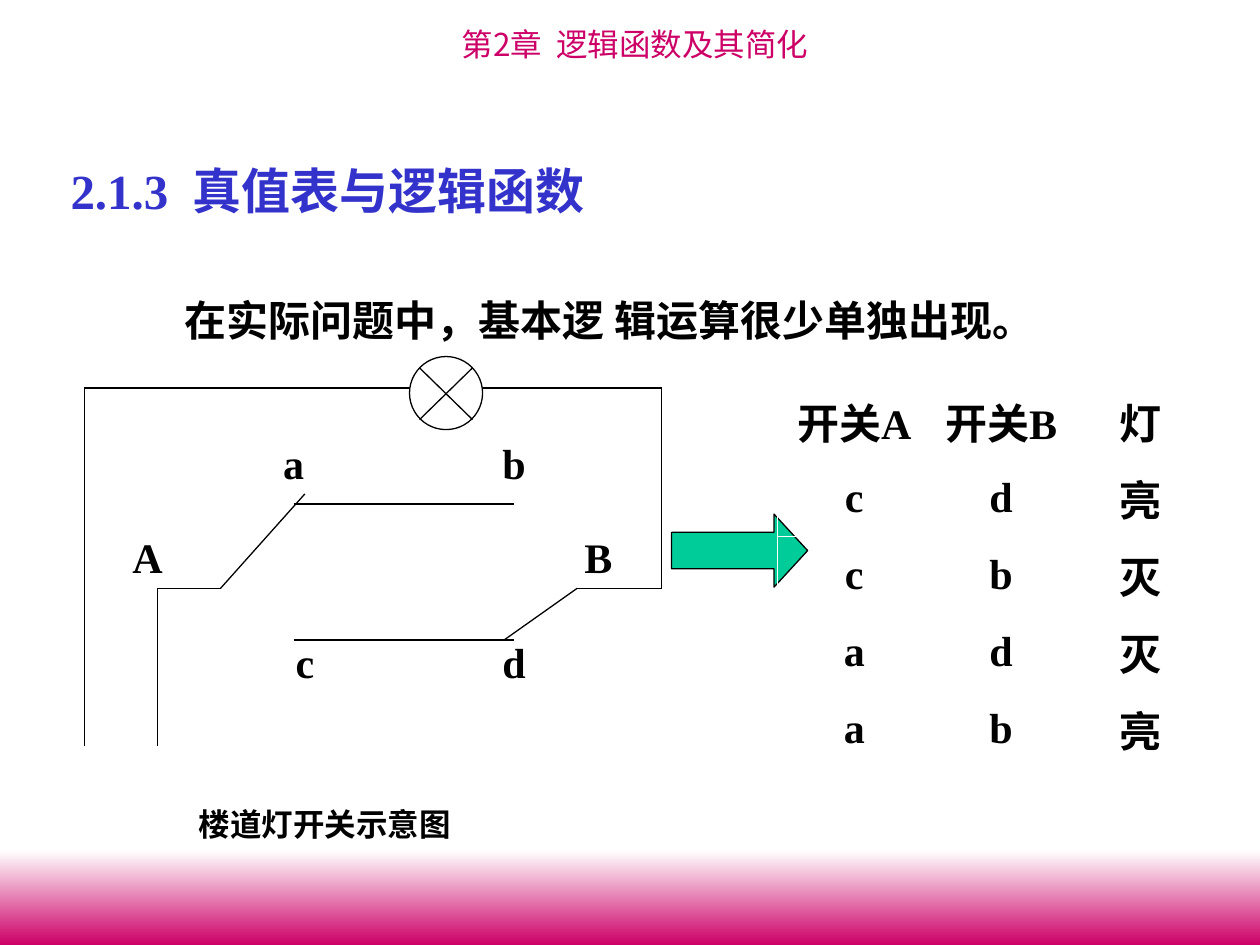
from dataclasses import dataclass

from lxml.etree import SubElement
from pptx import Presentation
from pptx.dml.color import RGBColor
from pptx.enum.shapes import MSO_CONNECTOR, MSO_SHAPE
from pptx.enum.text import MSO_ANCHOR, MSO_AUTO_SIZE, PP_ALIGN
from pptx.oxml.ns import qn
from pptx.util import Inches, Pt


@dataclass(frozen=True)
class Theme:
    """Colours, fonts and type sizes of the slide."""
    ink: RGBColor = RGBColor(0, 0, 0)
    paper: RGBColor = RGBColor(0xFF, 0xFF, 0xFF)
    heading: RGBColor = RGBColor(0x33, 0x33, 0xCC)
    chapter: RGBColor = RGBColor(0xCC, 0x00, 0x66)
    arrow: RGBColor = RGBColor(0x00, 0xCC, 0x99)
    latin: str = "Times New Roman"
    chinese: str = "Noto Sans CJK SC"
    heading_size: int = 28
    body_size: int = 24
    small_size: int = 18
    line_width: float = 0.75


THEME = Theme()

CIRCUIT_LINES = [
    (0.67, 5.92, 0.67, 3.08), (0.67, 3.08, 3.25, 3.08),
    (3.83, 3.08, 5.25, 3.08), (5.25, 3.08, 5.25, 4.67),
    (1.25, 5.92, 1.25, 4.67), (1.25, 4.67, 1.75, 4.67),
    (5.25, 4.67, 4.58, 4.67), (2.33, 4, 4.08, 4),
    (2.33, 5.08, 4.08, 5.08), (1.75, 4.67, 2.42, 3.92),
    (4.58, 4.67, 4, 5.08),
]
LAMP_CROSS = [(3.33, 3.33, 3.75, 2.92), (3.33, 2.92, 3.75, 3.33)]
CONTACT_LABELS = [
    ("A", 0.92, 4.17), ("B", 4.5, 4.17), ("a", 2.08, 3.42),
    ("d", 3.83, 5), ("b", 3.83, 3.42), ("c", 2.17, 5),
]
TRUTH_ROWS = [
    ("开关A", "开关B", "灯"),
    ("c", "d", "亮"),
    ("c", "b", "灭"),
    ("a", "d", "灭"),
    ("a", "b", "亮"),
]


def style_paragraph(paragraph, size, color=THEME.ink, bold=True,
                    align=PP_ALIGN.LEFT, latin=THEME.latin):
    """Format a paragraph and its runs, with a separate Chinese font."""
    paragraph.alignment = align
    for run in paragraph.runs:
        run.font.size = Pt(size)
        run.font.bold = bold
        run.font.color.rgb = color
        run.font.name = latin
        SubElement(run.font._element, qn("a:ea"), typeface=THEME.chinese)


def add_text(slide, text, left, top, width, height, size,
             indent=0, line_spacing=None, **style):
    """Add a wrapping text box holding one paragraph."""
    box = slide.shapes.add_textbox(
        Inches(left), Inches(top), Inches(width), Inches(height))
    box.text_frame.word_wrap = True
    box.text_frame.text = text
    paragraph = box.text_frame.paragraphs[0]
    style_paragraph(paragraph, size, **style)
    if line_spacing:
        paragraph.line_spacing = line_spacing
    if indent:
        paragraph._p.get_or_add_pPr().set("indent", str(Inches(indent)))


def add_outlined(slide, preset, left, top, width, height, fill):
    """Add a filled preset shape with a thin outline."""
    shape = slide.shapes.add_shape(
        preset, Inches(left), Inches(top), Inches(width), Inches(height))
    shape.shadow.inherit = False
    shape.fill.solid()
    shape.fill.fore_color.rgb = fill
    shape.line.color.rgb = THEME.ink
    shape.line.width = Pt(THEME.line_width)
    return shape


def add_lines(slide, segments):
    """Draw straight wires from (x1, y1, x2, y2) segments."""
    for segment in segments:
        wire = slide.shapes.add_connector(
            MSO_CONNECTOR.STRAIGHT, *(Inches(value) for value in segment))
        wire.line.color.rgb = THEME.ink
        wire.line.width = Pt(THEME.line_width)
        SubElement(wire._element.spPr, qn("a:effectLst"))


def add_footer_band(slide):
    """Add the band that fades from white at the bottom of the slide."""
    band = slide.shapes.add_shape(
        MSO_SHAPE.RECTANGLE, 0, Inches(6.75), Inches(10), Inches(0.75))
    band.shadow.inherit = False
    band.line.fill.background()
    band.fill.gradient()
    band.fill.gradient_angle = 270
    for stop, position, color in zip(
            band.fill.gradient_stops, (0, 1), (THEME.paper, THEME.chapter)):
        stop.position = position
        stop.color.rgb = color


def set_title(slide, text):
    """Place and format the section heading."""
    title = slide.shapes.title
    title.left, title.top = Inches(0.46), Inches(1.22)
    title.width, title.height = Inches(4.46), Inches(0.57)
    frame = title.text_frame
    frame.text = text
    frame.word_wrap = False
    frame.auto_size = MSO_AUTO_SIZE.NONE
    frame.vertical_anchor = MSO_ANCHOR.TOP
    style_paragraph(frame.paragraphs[0], THEME.heading_size, THEME.heading)


def add_circuit(slide):
    """Draw the stairway lamp with its two switches."""
    add_lines(slide, CIRCUIT_LINES)
    add_outlined(slide, MSO_SHAPE.OVAL, 3.25, 2.83, 0.58, 0.58, THEME.paper)
    add_lines(slide, LAMP_CROSS)
    for label, left, top in CONTACT_LABELS:
        add_text(slide, label, left, top, 0.5, 0.5, THEME.body_size,
                 align=PP_ALIGN.CENTER)


def add_truth_table(slide):
    """Add the truth table of switch positions and lamp state."""
    widths = (1.22, 1.11, 1.11)
    row_height = 0.61
    table = slide.shapes.add_table(
        len(TRUTH_ROWS), len(widths), Inches(6.17), Inches(3.04),
        Inches(sum(widths)), Inches(row_height * len(TRUTH_ROWS))).table
    table.first_row = table.horz_banding = False
    for column, width in zip(table.columns, widths):
        column.width = Inches(width)
    for row, values in zip(table.rows, TRUTH_ROWS):
        row.height = Inches(row_height)
        for cell, value in zip(row.cells, values):
            cell.fill.background()
            cell.margin_left = cell.margin_right = Inches(0.05)
            cell.vertical_anchor = MSO_ANCHOR.MIDDLE
            cell.text = value
            style_paragraph(cell.text_frame.paragraphs[0], THEME.body_size,
                            align=PP_ALIGN.CENTER)


def main():
    """Build the slide and save it."""
    deck = Presentation()
    deck.slide_width, deck.slide_height = Inches(10), Inches(7.5)
    slide = deck.slides.add_slide(deck.slide_layouts[5])
    add_footer_band(slide)
    add_text(slide, "第2章  逻辑函数及其简化", 0.83, 0.15, 8.42, 0.4,
             THEME.small_size, color=THEME.chapter, bold=False,
             align=PP_ALIGN.CENTER, latin=THEME.chinese)
    set_title(slide, "2.1.3  真值表与逻辑函数")
    add_text(slide, "楼道灯开关示意图", 1.25, 6.25, 3.5, 0.49,
             THEME.small_size, indent=0.23, line_spacing=1.3,
             align=PP_ALIGN.JUSTIFY)
    add_circuit(slide)
    arrow = add_outlined(slide, MSO_SHAPE.RIGHT_ARROW,
                         5.33, 4.08, 1.08, 0.58, THEME.arrow)
    arrow.adjustments[1] = 0.46
    add_text(slide, "在实际问题中，基本逻 辑运算很少单独出现。",
             0.83, 2.17, 8.5, 0.62, THEME.body_size, indent=0.54,
             line_spacing=1.3, align=PP_ALIGN.JUSTIFY)
    add_truth_table(slide)
    deck.save("out.pptx")


if __name__ == "__main__":
    main()
